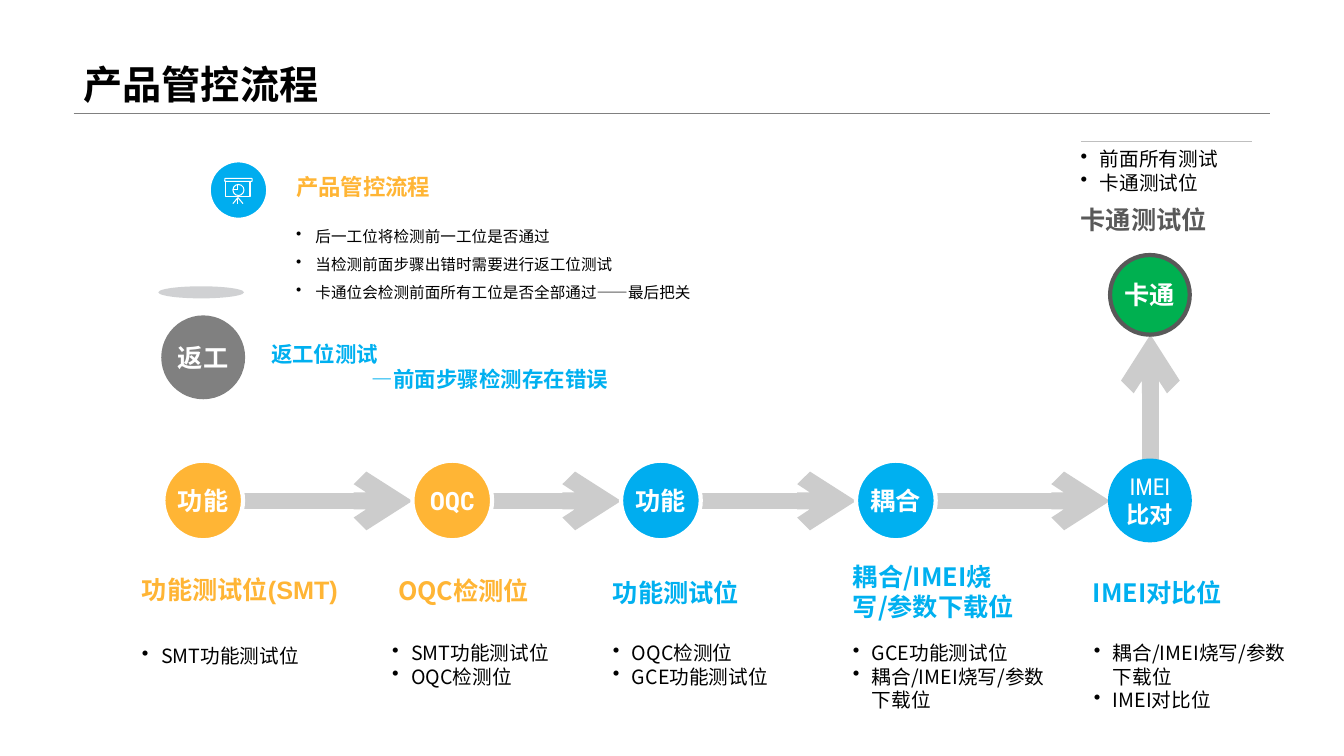
import dataclasses
import itertools

import pptx
import pptx.dml.color
import pptx.enum.shapes
import pptx.enum.text
import pptx.oxml.ns
import pptx.util

RGBColor = pptx.dml.color.RGBColor
Shapes = pptx.enum.shapes.MSO_SHAPE
Anchor = pptx.enum.text.MSO_ANCHOR
Align = pptx.enum.text.PP_ALIGN

WHITE = RGBColor(0xFF, 0xFF, 0xFF)
BLACK = RGBColor(0, 0, 0)
BLUE = RGBColor(0x00, 0xAD, 0xEF)
SKY = RGBColor(0x00, 0xB0, 0xF0)
ORANGE = RGBColor(0xFF, 0xB5, 0x35)
GREEN = RGBColor(0x00, 0xB0, 0x50)
GRAY = RGBColor(0x80, 0x80, 0x80)
DARK = RGBColor(0x59, 0x59, 0x59)
ARROW = RGBColor(0xCC, 0xCC, 0xCC)
HAIRLINE = RGBColor(0xBF, 0xBF, 0xBF)
SHADE = RGBColor(0x53, 0x58, 0x5F)

CJK = "Noto Sans CJK SC"
CONDENSED = "Roboto Condensed"
CIRCLE = 79
INDENT = 19


@dataclasses.dataclass
class Station:
    """One test position: its circle, its heading and the checks it makes."""
    left: int
    label: tuple
    color: RGBColor
    heading: str
    heading_box: tuple
    checks: tuple
    checks_box: tuple
    heading_color: RGBColor = SKY
    heading_font: str = CJK
    outline: RGBColor = WHITE


STATIONS = (
    Station(162, ("功能",), ORANGE, "功能测试位(SMT)", (131, 98, 223, 50),
            ("SMT功能测试位",), (131, 177, 179, 34), ORANGE, "Arial"),
    Station(409, ("OQC",), ORANGE, "OQC检测位", (385, 107, 168, 42),
            ("SMT功能测试位", "OQC检测位"), (379, 174, 219, 57), ORANGE),
    Station(616, ("功能",), BLUE, "功能测试位", (598, 107, 152, 44),
            ("OQC检测位", "GCE功能测试位"), (598, 174, 217, 57)),
    Station(849, ("耦合",), SKY, "耦合/IMEI烧写/参数下载位", (836, 107, 199, 58),
            ("GCE功能测试位", "耦合/IMEI烧写/参数下载位"), (836, 174, 226, 81)),
    Station(1101, ("IMEI", "比对"), BLUE, "IMEI对比位", (1074, 107, 152, 44),
            ("耦合/IMEI烧写/参数下载位", "IMEI对比位"), (1075, 174, 226, 81),
            outline=BLUE),
)


def px(length):
    """Turn px, 100 to the inch, into EMU."""
    return pptx.util.Emu(length * 9144)


def add_child(parent, tag, **attributes):
    """Append an XML element with the given attributes."""
    parent.append(parent.makeelement(pptx.oxml.ns.qn(tag), attributes))


def indent(paragraph, margin, first):
    """Set the left margin and first-line indent of a paragraph."""
    properties = paragraph._p.get_or_add_pPr()
    properties.set("marL", str(px(margin)))
    properties.set("indent", str(px(first)))


def write(shape, lines, *, size, color, font=CJK, bold=False, align=Align.LEFT,
          anchor=Anchor.TOP, wrap=True, spacing=None, bullet=False, grow=False):
    """Fill a shape with one formatted paragraph per line."""
    frame = shape.text_frame
    frame.word_wrap = wrap
    frame.vertical_anchor = anchor
    if grow:
        frame.auto_size = pptx.enum.text.MSO_AUTO_SIZE.SHAPE_TO_FIT_TEXT
    for index, line in enumerate(lines):
        paragraph = frame.add_paragraph() if index else frame.paragraphs[0]
        paragraph.alignment = align
        if spacing:
            paragraph.line_spacing = spacing
        if bullet:
            indent(paragraph, INDENT, -INDENT)
            add_child(paragraph._p.get_or_add_pPr(), "a:buChar", char="•")
        run = paragraph.add_run()
        run.text = line
        run.font.size = pptx.util.Pt(size)
        run.font.bold = bold
        run.font.name = font
        run.font.color.rgb = color
        add_child(run._r.get_or_add_rPr(), "a:ea", typeface=CJK)
    return frame


def add_text(slide, box, lines, **text_format):
    """Add a text box."""
    return write(slide.shapes.add_textbox(*map(px, box)), lines, **text_format)


def add_shape(slide, kind, box, fill=None, line=None, width=3):
    """Add a preset shape; a missing colour leaves that part empty."""
    shape = slide.shapes.add_shape(kind, *map(px, box))
    shape.shadow.inherit = False
    if fill is None:
        shape.fill.background()
    else:
        shape.fill.solid()
        shape.fill.fore_color.rgb = fill
    if line is None:
        shape.line.fill.background()
    else:
        shape.line.color.rgb = line
        shape.line.width = pptx.util.Pt(width)
    return shape


def add_line(slide, start, end, color, width, arrow=False):
    """Add a straight line, with an arrowhead at its end if asked."""
    line = slide.shapes.add_connector(
        pptx.enum.shapes.MSO_CONNECTOR.STRAIGHT, *map(px, start + end))
    line.line.color.rgb = color
    line.line.width = pptx.util.Pt(width)
    if arrow:
        add_child(line.line._get_or_add_ln(), "a:tailEnd", type="arrow")
    add_child(line._element.spPr, "a:effectLst")


def add_circle(slide, left, top, label, fill, outline):
    """Add a labelled circle; a second label line makes the first one lighter."""
    circle = add_shape(slide, Shapes.OVAL, (left, top, CIRCLE, CIRCLE), fill, outline)
    paired = len(label) > 1
    frame = write(circle, label, size=16.6 if paired else 18, color=WHITE,
                  font=CONDENSED, bold=True, align=Align.CENTER,
                  anchor=Anchor.MIDDLE, wrap=False)
    if paired:
        frame.paragraphs[0].runs[0].font.bold = False


def draw_title(slide, left, top, width, height):
    """Draw the slide title and the rule under it."""
    bottom = top + height
    add_line(slide, (left, bottom), (left + width, bottom), GRAY, 0.25)
    add_text(slide, (left, top, width, height), ("产品管控流程",), size=28, color=BLACK,
             font="Arial", bold=True, anchor=Anchor.BOTTOM, spacing=0.9)


def draw_stations(slide, top):
    """Draw the row of stations and the arrows between them."""
    middle = top + CIRCLE // 2 + 1
    for before, after in itertools.pairwise(STATIONS):
        add_line(slide, (before.left + CIRCLE, middle), (after.left, middle),
                 ARROW, 12, arrow=True)
    for station in STATIONS:
        add_circle(slide, station.left, top, station.label, station.color, station.outline)
        for box, lines, text_format in (
                (station.heading_box, (station.heading,),
                 dict(size=18, color=station.heading_color, font=station.heading_font,
                      bold=True, anchor=Anchor.BOTTOM)),
                (station.checks_box, station.checks,
                 dict(size=14, color=BLACK, bullet=True, grow=True))):
            left, offset, width, height = box
            add_text(slide, (left, top + offset, width, height), lines, **text_format)


def draw_carton(slide, left, top, row_top):
    """Draw the final carton station above the end of the row."""
    circle_left, circle_top = left + 39, top + 113
    middle = circle_left + CIRCLE // 2 + 1
    add_line(slide, (middle, row_top), (middle, circle_top + CIRCLE), ARROW, 12, arrow=True)
    add_circle(slide, circle_left, circle_top, ("卡通",), GREEN, DARK)
    add_line(slide, (left + 10, top), (left + 180, top), HAIRLINE, 0.25)
    add_text(slide, (left, top + 1, 226, 81), ("前面所有测试", "卡通测试位"),
             size=14, color=BLACK, bullet=True, grow=True)
    add_text(slide, (left, top + 57, 176, 41), ("卡通测试位",), size=18, color=DARK,
             font="Arial", bold=True, anchor=Anchor.BOTTOM)


def draw_board_icon(slide, left, top):
    """Draw a presentation board on a round badge."""
    add_shape(slide, Shapes.OVAL, (left, top, 59, 59), BLUE, WHITE)
    add_shape(slide, Shapes.ROUNDED_RECTANGLE, (left + 16, top + 18, 27, 3), None, WHITE, 0.75)
    add_shape(slide, Shapes.RECTANGLE, (left + 17, top + 21, 24, 15), None, WHITE, 0.75)
    add_shape(slide, Shapes.OVAL, (left + 24, top + 24, 11, 11), None, WHITE, 0.75)
    hub = (left + 29, top + 29)
    for end in ((left + 29, top + 24), (left + 24, top + 29)):
        add_line(slide, hub, end, WHITE, 0.75)
    for shift in (-5, 0, 5):
        add_line(slide, (left + 29, top + 37), (left + 29 + shift, top + 43), WHITE, 0.75)


def draw_rules(slide, left, top):
    """Draw the badge, heading and bullets that state the control rules."""
    draw_board_icon(slide, left, top)
    add_text(slide, (left + 77, top, 413, 52), ("产品管控流程",), size=16, color=ORANGE,
             font="Arial", bold=True, anchor=Anchor.MIDDLE)
    add_text(slide, (left + 77, top + 52, 413, 121),
             ("后一工位将检测前一工位是否通过", "当检测前面步骤出错时需要进行返工位测试",
              "卡通位会检测前面所有工位是否全部通过——最后把关"),
             size=11.1, color=BLACK, spacing=1.5, bullet=True)


def draw_rework(slide, left, top):
    """Draw the rework circle with its shade and explanation."""
    shade = add_shape(slide, Shapes.OVAL, (left, top, 85, 12), SHADE)
    color = shade._element.spPr.find(".//" + pptx.oxml.ns.qn("a:srgbClr"))
    add_child(color, "a:alpha", val="27000")
    add_circle(slide, left + 5, top + 31, ("返工",), GRAY, GRAY)
    frame = add_text(slide, (left + 102, top + 39, 366, 71),
                     ("返工位测试", "—前面步骤检测存在错误"),
                     size=15.3, color=SKY, bold=True, anchor=Anchor.BOTTOM)
    indent(frame.paragraphs[1], 100, 0)


def main():
    """Build and save the slide."""
    presentation = pptx.Presentation()
    presentation.slide_width = px(1333)
    presentation.slide_height = px(750)
    slide = presentation.slides.add_slide(presentation.slide_layouts[6])
    row_top = 457
    draw_title(slide, 73, 0, 1187, 112)
    draw_carton(slide, 1062, 140, row_top)
    draw_stations(slide, row_top)
    draw_rules(slide, 207, 159)
    draw_rework(slide, 157, 284)
    presentation.save("out.pptx")


if __name__ == "__main__":
    main()
